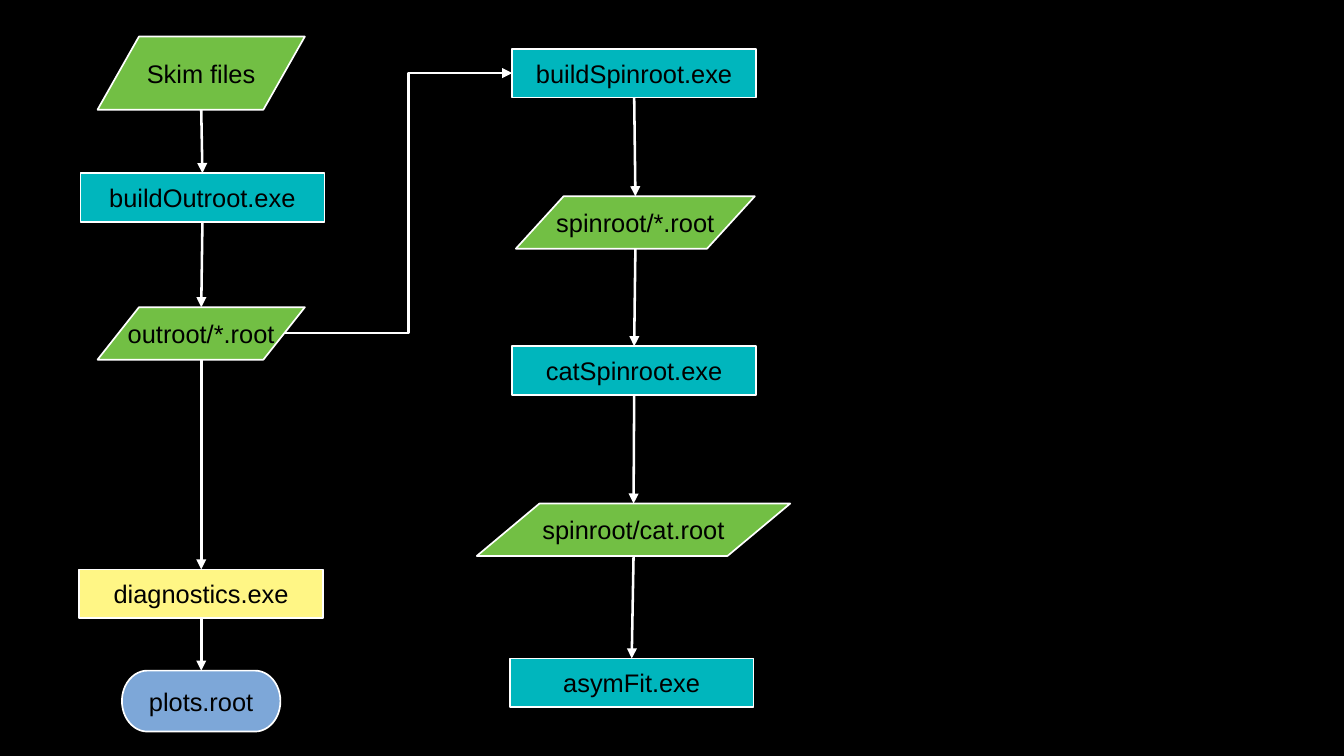
"""Build the flow chart of programs and the root files they pass on."""
from lxml.etree import SubElement
from pptx import Presentation
from pptx.dml.color import RGBColor
from pptx.enum.shapes import MSO_CONNECTOR, MSO_SHAPE
from pptx.enum.text import MSO_ANCHOR, PP_ALIGN
from pptx.oxml.ns import qn
from pptx.util import Inches, Pt

theme = {
    "back": RGBColor(0x00, 0x00, 0x00),
    "text": RGBColor(0x00, 0x00, 0x00),
    "line": RGBColor(0xFF, 0xFF, 0xFF),
    "file": RGBColor(0x72, 0xBF, 0x44),
    "code": RGBColor(0x00, 0xB6, 0xBD),
    "check": RGBColor(0xFF, 0xF6, 0x85),
    "plot": RGBColor(0x7D, 0xA7, 0xD8),
    "font": {"name": "Arial", "size": Pt(15)},
    "edge": Pt(1),
    "link": Pt(1.5),
}
frame_form = {
    "word_wrap": False,
    "vertical_anchor": MSO_ANCHOR.MIDDLE,
    "margin_left": Inches(0.11),
    "margin_right": Inches(0.11),
    "margin_top": Inches(0.06),
    "margin_bottom": Inches(0.06),
}
forms = {
    "file": MSO_SHAPE.FLOWCHART_DATA,
    "code": MSO_SHAPE.FLOWCHART_PROCESS,
    "check": MSO_SHAPE.FLOWCHART_PROCESS,
    "plot": MSO_SHAPE.FLOWCHART_TERMINATOR,
}
chains = [
    [
        ("Skim files", "file", 0.8, 0.3, 1.7, 0.6),
        ("buildOutroot.exe", "code", 0.66, 1.42, 2, 0.4),
        ("outroot/*.root", "file", 0.8, 2.52, 1.7, 0.43),
        ("diagnostics.exe", "check", 0.65, 4.67, 2, 0.4),
        ("plots.root", "plot", 1, 5.5, 1.3, 0.5),
    ],
    [
        ("buildSpinroot.exe", "code", 4.2, 0.4, 2, 0.4),
        ("spinroot/*.root", "file", 4.23, 1.61, 1.96, 0.43),
        ("catSpinroot.exe", "code", 4.2, 2.84, 2, 0.4),
        ("spinroot/cat.root", "file", 3.91, 4.13, 2.57, 0.43),
        ("asymFit.exe", "code", 4.18, 5.4, 2, 0.4),
    ],
]


def set_all(item, form):
    """Set each named value on the item."""
    for name, value in form.items():
        setattr(item, name, value)


def add_link(kind, start, end):
    """Draw an arrow between two points."""
    link = slide.shapes.add_connector(kind, *start, *end)
    link.line.color.rgb = theme["line"]
    link.line.width = theme["link"]
    props = link.element.spPr
    SubElement(props.find(qn("a:ln")), qn("a:tailEnd"), type="triangle")
    SubElement(props, qn("a:effectLst"))
    return link


deck = Presentation()
set_all(deck, {"slide_width": Inches(11.02), "slide_height": Inches(6.2)})
slide = deck.slides.add_slide(deck.slide_layouts[6])
slide.background.fill.solid()
slide.background.fill.fore_color.rgb = theme["back"]

for chain in chains:
    last = None
    for label, kind, *place in chain:
        node = slide.shapes.add_shape(forms[kind], *map(Inches, place))
        node.shadow.inherit = False
        node.fill.solid()
        node.fill.fore_color.rgb = theme[kind]
        node.line.color.rgb = theme["line"]
        node.line.width = theme["edge"]
        set_all(node.text_frame, frame_form)
        para = node.text_frame.paragraphs[0]
        para.alignment = PP_ALIGN.CENTER
        run = para.add_run()
        run.text = label
        set_all(run.font, theme["font"])
        run.font.color.rgb = theme["text"]
        if last:
            start = (last.left + last.width // 2, last.top + last.height)
            end = (node.left + node.width // 2, node.top)
            link = add_link(MSO_CONNECTOR.STRAIGHT, start, end)
            if last.auto_shape_type != forms["file"]:
                link.begin_connect(last, 2)
            if node.auto_shape_type != forms["file"]:
                link.end_connect(node, 0)
        last = node

start, end = (Inches(2.33), Inches(2.73)), (Inches(4.2), Inches(0.6))
bend = add_link(MSO_CONNECTOR.ELBOW, start, end)
guides = bend.element.spPr.find(qn("a:prstGeom")).find(qn("a:avLst"))
SubElement(guides, qn("a:gd"), name="adj1", fmla="val 54600")

deck.save("out.pptx")
